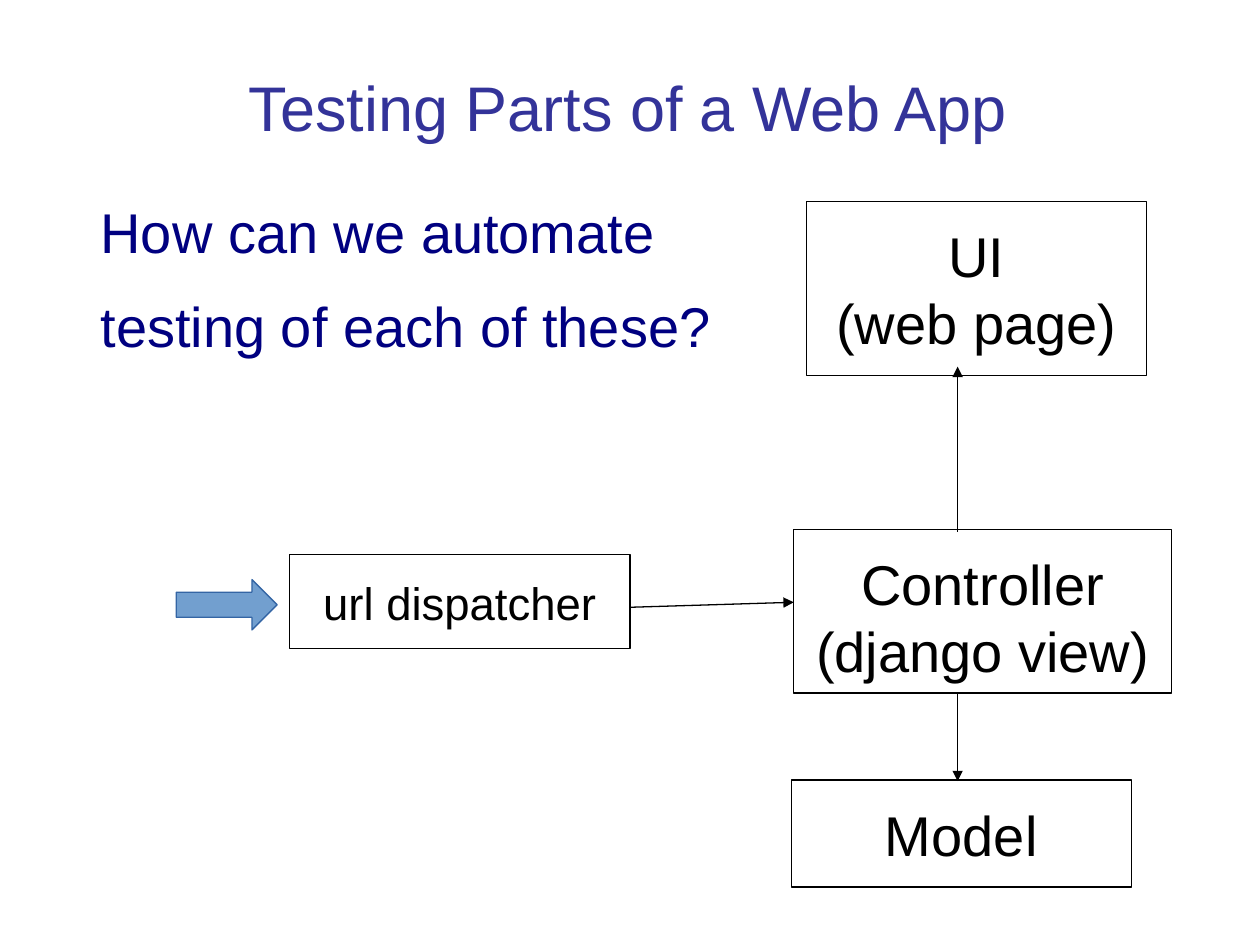
from dataclasses import dataclass

from pptx import Presentation
from pptx.dml.color import RGBColor
from pptx.enum.shapes import MSO_CONNECTOR, MSO_SHAPE
from pptx.enum.text import MSO_ANCHOR, PP_ALIGN
from pptx.oxml.ns import qn
from pptx.util import Inches, Pt
from lxml.etree import SubElement


@dataclass(frozen=True)
class Theme:
    font: str = "Arial"
    title: str = "333399"
    body: str = "000080"
    ink: str = "000000"
    arrow_fill: str = "729FCF"
    arrow_line: str = "3465A4"
    title_size: int = 36
    text_size: int = 32
    small_size: int = 26
    line: float = 0.75


THEME = Theme()


def rgb(value):
    return RGBColor.from_string(value)


def write(tf, text, size=THEME.text_size, color=THEME.ink, align=PP_ALIGN.CENTER,
          anchor=MSO_ANCHOR.TOP, inset=0.05, before=0):
    """Fill a text frame; a newline starts a paragraph, a vertical tab a line."""
    tf.word_wrap = True
    tf.vertical_anchor = anchor
    tf.margin_left = tf.margin_right = Inches(0.1)
    tf.margin_top = tf.margin_bottom = Inches(inset)
    tf.text = text
    for p in tf.paragraphs:
        p.alignment = align
        p.space_before = Pt(before)
        for br in p._p.findall(qn("a:br")):
            SubElement(br, qn("a:rPr")).set("sz", str(size * 100))
        for r in p.runs:
            r.font.name = THEME.font
            r.font.size = Pt(size)
            r.font.color.rgb = rgb(color)


def add_text(s, box, text, **fmt):
    write(s.shapes.add_textbox(*map(Inches, box)).text_frame, text, **fmt)


def add_outlined(s, kind, box, line):
    sp = s.shapes.add_shape(kind, *map(Inches, box))
    sp.shadow.inherit = False
    sp.fill.background()
    sp.line.color.rgb = rgb(line)
    sp.line.width = Pt(THEME.line)
    return sp


def add_component(s, box, text, size=THEME.text_size):
    sp = add_outlined(s, MSO_SHAPE.RECTANGLE, box, THEME.ink)
    write(sp.text_frame, text, size=size, inset=0.16)


def add_request_arrow(s, box):
    sp = add_outlined(s, MSO_SHAPE.RIGHT_ARROW, box, THEME.arrow_line)
    sp.fill.solid()
    sp.fill.fore_color.rgb = rgb(THEME.arrow_fill)


def add_link(s, start, end):
    c = s.shapes.add_connector(MSO_CONNECTOR.STRAIGHT, *map(Inches, start + end))
    c.line.color.rgb = rgb(THEME.ink)
    c.line.width = Pt(THEME.line)
    SubElement(c.line._get_or_add_ln(), qn("a:tailEnd")).set("type", "triangle")
    SubElement(c._element.spPr, qn("a:effectLst"))


def add_diagram(s, box):
    """Web app components and the links between them."""
    left, top, width, height = box
    right, bottom = left + width, top + height
    block_w = 2.7
    axis = right - 1.7
    view_left, view_top, view_bottom = right - 3, top + 2.6, top + 3.9
    model_top = bottom - 0.85
    url_left, url_top = left + 0.9, top + 2.8

    add_component(s, (view_left - 0.02, model_top, block_w, 0.85), "Model")
    add_component(s, (view_left, view_top, 3, 1.3), "Controller\v(django view)")
    add_component(s, (view_left + 0.1, top, block_w, 1.38), "UI\v(web page)")
    add_component(s, (url_left, url_top, block_w, 0.75), "url dispatcher",
                  size=THEME.small_size)

    add_link(s, (url_left + block_w, url_top + 0.42), (view_left, url_top + 0.38))
    add_link(s, (axis, view_bottom), (axis, model_top + 0.01))
    add_link(s, (axis, view_top + 0.02), (axis, top + 1.31))
    add_request_arrow(s, (left, url_top + 0.2, 0.8, 0.4))


def main():
    prs = Presentation()
    prs.slide_width, prs.slide_height = Inches(10), Inches(7.5)
    s = prs.slides.add_slide(prs.slide_layouts[6])
    add_text(s, (0.67, 0.28, 8.63, 0.91), "Testing Parts of a Web App",
             size=THEME.title_size, color=THEME.title, anchor=MSO_ANCHOR.BOTTOM)
    add_text(s, (0.7, 1.52, 5.4, 5.45),
             "How can we automate\ntesting of each of these?",
             color=THEME.body, align=PP_ALIGN.LEFT, before=15)
    add_diagram(s, (1.4, 1.6, 7.9, 5.44))
    prs.save("out.pptx")


if __name__ == "__main__":
    main()
